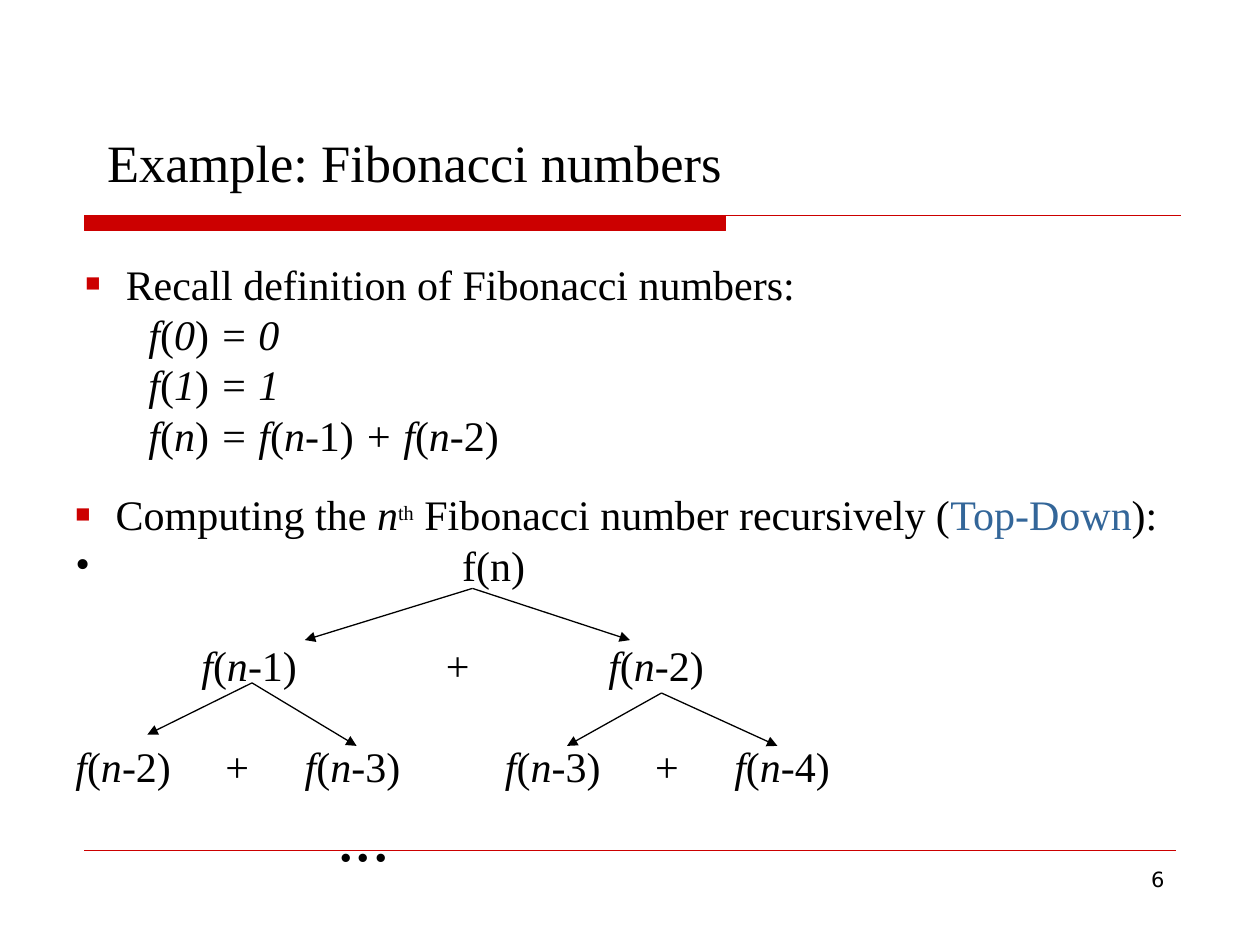
from lxml import etree
from pptx import Presentation
from pptx.dml.color import RGBColor
from pptx.enum.shapes import MSO_CONNECTOR as CONNECTOR
from pptx.enum.text import MSO_ANCHOR as ANCHOR, MSO_AUTO_SIZE as AUTO_SIZE, PP_ALIGN as ALIGN
from pptx.oxml.ns import qn
from pptx.util import Inches, Pt

COLORS = {"text": "000000", "rule": "CC0000", "accent": "336699"}
SERIF, SANS = "Times New Roman", "DejaVu Sans"
BODY_SIZE = 24
LEADING = 1.2


def rgb(name):
    return RGBColor.from_string(COLORS[name])


def points(*pairs):
    return [(Inches(x), Inches(y)) for x, y in pairs]


class SlideBuilder:
    """Holds the style and the slide being built."""

    def __init__(self, slide):
        self.slide = slide

    def format(self, paragraph, size, font=SERIF):
        paragraph.font.size = Pt(size)
        paragraph.font.name = font
        paragraph.font.color.rgb = rgb("text")

    def title(self, text, left, top, width, height):
        title = self.slide.shapes.title
        title.left, title.top = Inches(left), Inches(top)
        title.width, title.height = Inches(width), Inches(height)
        frame = title.text_frame
        frame.text = text
        frame.auto_size = AUTO_SIZE.NONE
        frame.vertical_anchor = ANCHOR.BOTTOM
        frame.paragraphs[0].alignment = ALIGN.LEFT
        self.format(frame.paragraphs[0], 30)

    def text_box(self, left, top, width, height):
        box = self.slide.shapes.add_textbox(
            Inches(left), Inches(top), Inches(width), Inches(height))
        box.text_frame.word_wrap = True
        return box.text_frame

    def runs(self, paragraph, text):
        """Add runs; parts between asterisks are italic."""
        for index, part in enumerate(text.split("*")):
            if part:
                run = paragraph.add_run()
                run.text = part
                if index % 2:
                    run.font.italic = True

    def paragraph(self, frame, text, size=BODY_SIZE, indent=0, bullet=None,
                  bullet_color="text", bullet_percent=100):
        first = frame.paragraphs[0]
        paragraph = frame.add_paragraph() if first.runs else first
        properties = paragraph._p.get_or_add_pPr()
        properties.set("marL", str(Inches(indent)))
        properties.set("indent", str(Inches(-indent if bullet else 0)))
        if bullet:
            color = etree.SubElement(properties, qn("a:buClr"))
            etree.SubElement(color, qn("a:srgbClr"), val=COLORS[bullet_color])
            etree.SubElement(properties, qn("a:buSzPct"), val=str(bullet_percent * 1000))
            etree.SubElement(properties, qn("a:buFont"), typeface=SERIF)
            etree.SubElement(properties, qn("a:buChar"), char=bullet)
        paragraph.line_spacing = Pt(size * LEADING)
        self.format(paragraph, size)
        self.runs(paragraph, text)
        return paragraph

    def heading(self, frame, text):
        return self.paragraph(frame, text, indent=0.32, bullet="■",
                              bullet_color="rule", bullet_percent=60)

    def label(self, text, left, top, width, height=0.5, size=BODY_SIZE):
        self.paragraph(self.text_box(left, top, width, height), text, size)

    def header_rule(self, left, top, bar_right, right, bottom):
        """Draw a thick bar that runs on as a thin line."""
        outline = self.slide.shapes.build_freeform(Inches(left), Inches(top))
        outline.add_line_segments(
            points((bar_right, top), (bar_right, bottom), (left, bottom)), close=True)
        outline.move_to(Inches(left), Inches(top))
        outline.add_line_segments(points((right, top)), close=False)
        rule = outline.convert_to_shape()
        rule.shadow.inherit = False
        rule.fill.solid()
        rule.fill.fore_color.rgb = rgb("rule")
        rule.line.color.rgb = rgb("rule")
        rule.line.width = Pt(0.75)

    def line(self, start, end, color, width, arrow=False):
        line = self.slide.shapes.add_connector(
            CONNECTOR.STRAIGHT, *(Inches(value) for value in (*start, *end)))
        line.line.color.rgb = rgb(color)
        line.line.width = Pt(width)
        if arrow:
            etree.SubElement(line.line._get_or_add_ln(), qn("a:tailEnd"), type="triangle")
        etree.SubElement(line._element.spPr, qn("a:effectLst"))


def main():
    prs = Presentation()
    prs.slide_width, prs.slide_height = Inches(10), Inches(7.5)
    builder = SlideBuilder(prs.slides.add_slide(prs.slide_layouts[5]))

    # Header and footer rules
    builder.header_rule(0.67, 1.71, 5.76, 9.37, 1.83)
    builder.line((0.67, 6.75), (9.33, 6.75), "rule", 0.25)

    # Slide number and title
    number = builder.text_box(7.17, 6.83, 2.17, 0.52).paragraphs[0]
    number.alignment = ALIGN.RIGHT
    builder.format(number, 12, SANS)
    builder.runs(number, "6")
    builder.title("Example: Fibonacci numbers", 0.75, 0.33, 8.5, 1.25)

    # Heading and root of the recursion tree
    root = builder.text_box(0.5, 3.83, 9.42, 0.9)
    task = builder.heading(root, "Computing the *n*")
    ordinal = task.add_run()
    ordinal.text = "th"
    ordinal.font.size = Pt(20)
    ordinal.font._element.set("baseline", "30000")
    builder.runs(task, " Fibonacci number recursively (")
    approach = task.add_run()
    approach.text = "Top-Down"
    approach.font.color.rgb = rgb("accent")
    builder.runs(task, "):")
    builder.paragraph(root, "f(n)", indent=3.07, bullet="•")

    # Lower levels of the tree: each call by its left edge and what it subtracts
    levels = {
        5.03: ([(1.5, 1), (4.73, 2)], [3.44]),
        5.83: ([(0.5, 2), (2.32, 3), (3.91, 3), (5.73, 4)], [1.69, 5.1]),
    }
    for top, (calls, pluses) in levels.items():
        for left, offset in calls:
            builder.label(f"*f*(*n-*{offset})", left, top, 1)
        for left in pluses:
            builder.label("+", left, top, 0.45)
    builder.label("...", 2.58, 6.23, 1, height=0.77, size=40)

    # Branches from each call to the two it makes
    branches = {
        (3.75, 4.67): [(2.42, 5.08), (5, 5.08)],
        (2, 5.42): [(1.17, 5.83), (2.83, 5.92)],
        (5.25, 5.5): [(4.5, 5.92), (6.17, 5.92)],
    }
    for call, subcalls in branches.items():
        for subcall in subcalls:
            builder.line(call, subcall, "text", 0.75, arrow=True)

    # Definition
    definition = builder.text_box(0.58, 2, 8.33, 1.7)
    definition.auto_size = AUTO_SIZE.SHAPE_TO_FIT_TEXT
    builder.heading(definition, "Recall definition of Fibonacci numbers:")
    for equation in ("*f*(*0*)* = 0*", "*f*(*1*)* = 1*",
                     "*f*(*n*)* = f*(*n*-1)* + f*(*n*-2)"):
        builder.paragraph(definition, equation, indent=0.5)

    prs.save("out.pptx")


if __name__ == "__main__":
    main()
